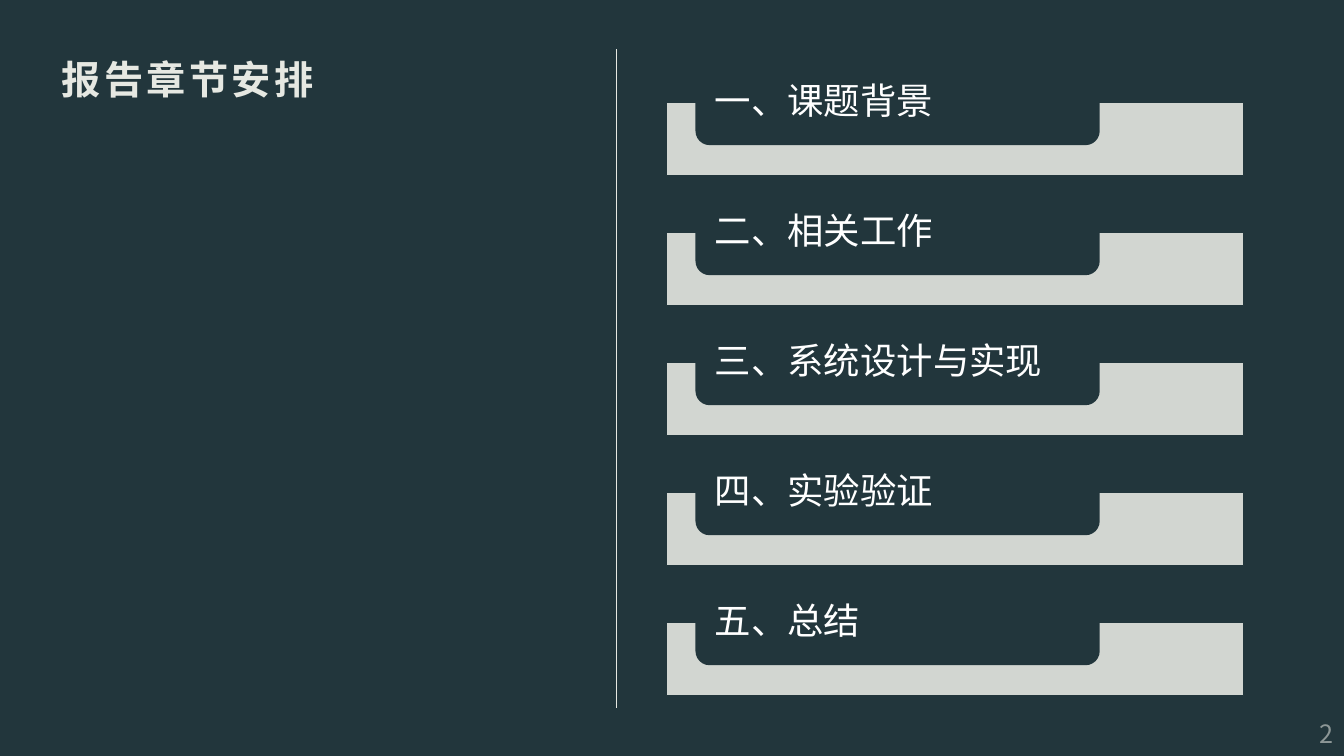
"""Build the agenda slide listing the five chapters of the report."""
from dataclasses import dataclass

from lxml import etree
from pptx import Presentation
from pptx.dml.color import RGBColor
from pptx.enum.shapes import MSO_CONNECTOR, MSO_SHAPE
from pptx.enum.text import MSO_ANCHOR, PP_ALIGN
from pptx.oxml.ns import qn
from pptx.util import Pt

RECTANGLE = MSO_SHAPE.RECTANGLE
ROUNDED = MSO_SHAPE.ROUNDED_RECTANGLE
STRAIGHT = MSO_CONNECTOR.STRAIGHT
TOP, MIDDLE = MSO_ANCHOR.TOP, MSO_ANCHOR.MIDDLE
LEFT, RIGHT = PP_ALIGN.LEFT, PP_ALIGN.RIGHT


@dataclass(frozen=True)
class Theme:
    font: str = "Noto Sans CJK SC"
    dark: RGBColor = RGBColor(0x22, 0x36, 0x3C)
    pale: RGBColor = RGBColor(0xE6, 0xE8, 0xE2)
    white: RGBColor = RGBColor(0xFF, 0xFF, 0xFF)
    title_size: int = 28
    chapter_size: int = 26
    number_size: int = 18


theme = Theme()


def set_opacity(element, percent):
    """Make the first colour inside the element partly transparent."""
    color = element.find(".//" + qn("a:srgbClr"))
    etree.SubElement(color, qn("a:alpha")).set("val", str(percent * 1000))


def add_text(frame_box, text, size, color, insets, anchor=MIDDLE, align=LEFT):
    """Add a one-line text box and return its paragraph and run."""
    box = page.shapes.add_textbox(*map(Pt, frame_box))
    frame = box.text_frame
    frame.text = text
    frame.word_wrap = True
    frame.vertical_anchor = anchor
    frame.margin_left, frame.margin_top, frame.margin_right, frame.margin_bottom = map(Pt, insets)
    para = frame.paragraphs[0]
    para.alignment = align
    span = para.runs[0]
    span.font.size = Pt(size)
    span.font.name = theme.font
    span.font.color.rgb = color
    properties = span._r.get_or_add_rPr()
    etree.SubElement(properties, qn("a:ea")).set("typeface", theme.font)
    return para, span


deck = Presentation()
deck.slide_width, deck.slide_height = Pt(960), Pt(540)
page = deck.slides.add_slide(deck.slide_layouts[6])
page.background.fill.solid()
page.background.fill.fore_color.rgb = theme.dark

para, span = add_text((35.3, 31, 369.4, 469.4), "报告章节安排", theme.title_size,
                      theme.pale, (8.64, 8.64, 8.64, 7.2), TOP)
span.font.bold = True
span._r.get_or_add_rPr().set("spc", "250")

divider = page.shapes.add_connector(STRAIGHT, Pt(440.6), Pt(35.3), Pt(440.6), Pt(505.4))
divider.line.color.rgb = theme.pale
divider.line.width = Pt(0.75)
etree.SubElement(divider._element.spPr, qn("a:effectLst"))

chapters = ["一、课题背景", "二、相关工作", "三、系统设计与实现", "四、实验验证", "五、总结"]
first_top, pitch = 43.2, 92.88

for index, chapter in enumerate(chapters):
    top = first_top + index * pitch

    band = page.shapes.add_shape(RECTANGLE, Pt(476), Pt(top + 30.24), Pt(412.5), Pt(51.8))
    band.shadow.inherit = False
    band.fill.solid()
    band.fill.fore_color.rgb = theme.pale
    band.line.color.rgb = theme.dark
    band.line.width = Pt(0.75)
    set_opacity(band._element.spPr, 90)

    tab = page.shapes.add_shape(ROUNDED, Pt(496.8), Pt(top), Pt(288.7), Pt(60.5))
    tab.shadow.inherit = False
    tab.fill.solid()
    tab.fill.fore_color.rgb = theme.dark
    tab.line.fill.background()

    para, span = add_text((499.7, top + 2.88, 283, 54.7), chapter, theme.chapter_size,
                          theme.white, (10.8, 0, 10.8, 0))
    para.line_spacing = 0.9

para, span = add_text((833.8, 504, 118.8, 39.6), "2", theme.number_size,
                      theme.pale, (0, 0, 0, 0), align=RIGHT)
set_opacity(span._r, 55)

deck.save("out.pptx")
